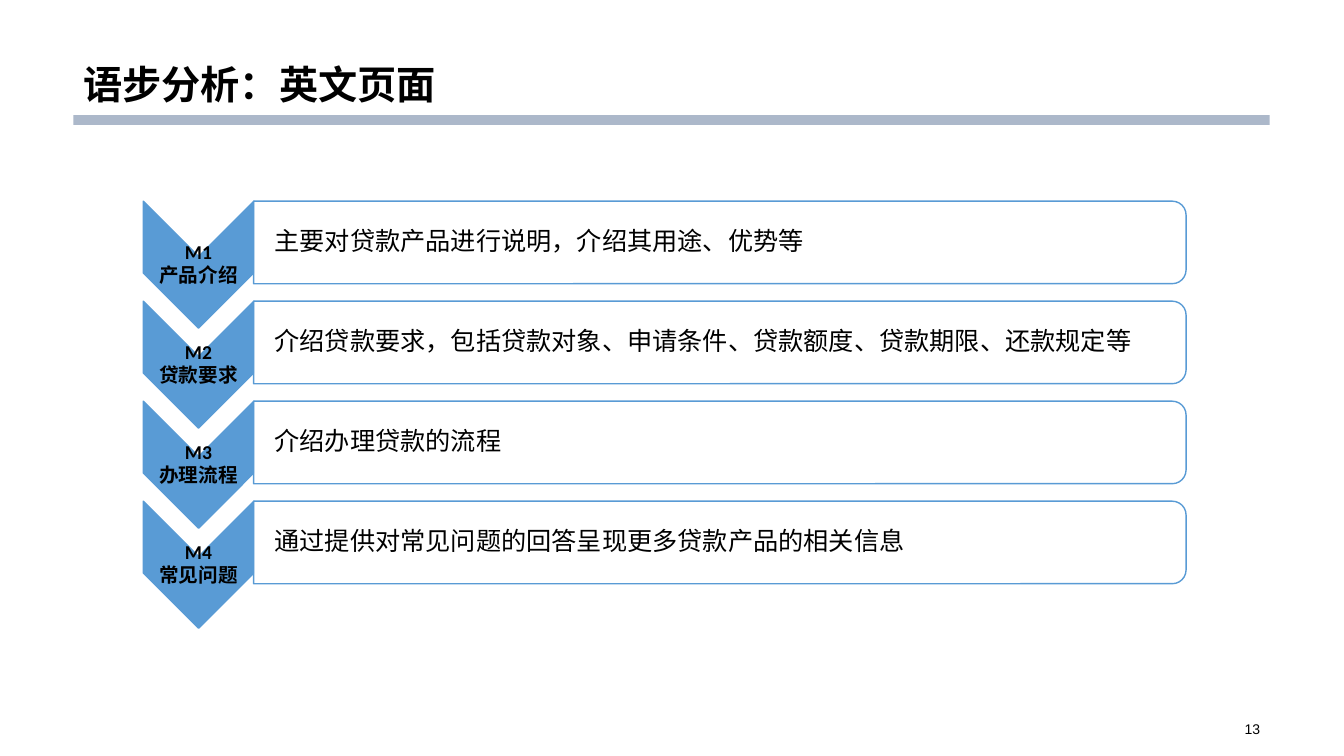
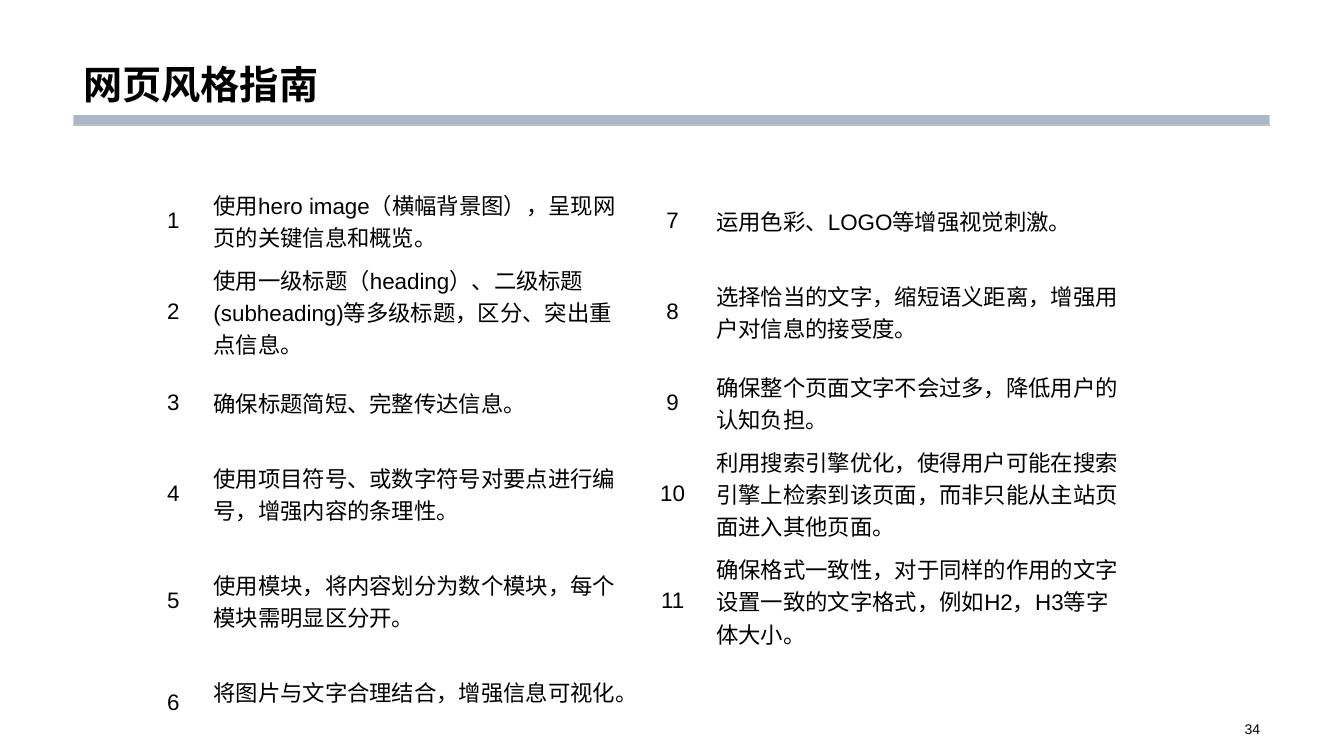
from typing import NamedTuple

from lxml import etree
from pptx import Presentation
from pptx.dml.color import RGBColor
from pptx.enum.lang import MSO_LANGUAGE_ID
from pptx.enum.shapes import MSO_CONNECTOR, MSO_SHAPE
from pptx.enum.text import MSO_ANCHOR, MSO_AUTO_SIZE, PP_ALIGN
from pptx.oxml.ns import qn
from pptx.util import Cm, Pt

RECTANGLE = MSO_SHAPE.RECTANGLE
CHEVRON = MSO_SHAPE.CHEVRON
ROUNDED_ENDS = MSO_SHAPE.ROUND_2_SAME_RECTANGLE
LEFT, CENTER, RIGHT = PP_ALIGN.LEFT, PP_ALIGN.CENTER, PP_ALIGN.RIGHT
MIDDLE, BOTTOM = MSO_ANCHOR.MIDDLE, MSO_ANCHOR.BOTTOM
CHINESE = MSO_LANGUAGE_ID.SIMPLIFIED_CHINESE
TITLE_ONLY = 5

COLORS = {
    "text": "000000",
    "band": "ACB8CA",
    "rule": "BFBFBF",
    "move": "599BD5",
    "panel": "FFFFFF",
}


class Box(NamedTuple):
    """Left, top, width and height in centimetres."""

    left: float
    top: float
    width: float
    height: float

    def lengths(self):
        return tuple(Cm(value) for value in self)


class Move(NamedTuple):
    code: str
    name: str
    description: str


TITLE_BOX = Box(1.85, 0, 30.15, 2.84)
BAND_BOX = Box(1.85, 2.9, 30.15, 0.25)
NUMBER_BOX = Box(23.93, 18.08, 8.08, 0.58)
DEFAULT_MARGINS = (0.25, 0.13, 0.25, 0.13)

MOVES = [
    Move("M1", "产品介绍", "主要对贷款产品进行说明，介绍其用途、优势等"),
    Move("M2", "贷款要求", "介绍贷款要求，包括贷款对象、申请条件、贷款额度、贷款期限、还款规定等"),
    Move("M3", "办理流程", "介绍办理贷款的流程"),
    Move("M4", "常见问题", "通过提供对常见问题的回答呈现更多贷款产品的相关信息"),
]
MOVE_TOP, MOVE_PITCH = 5.07, 2.52

GUIDELINES = [
    "使用hero image（横幅背景图），呈现网页的关键信息和概览。",
    "使用一级标题（heading）、二级标题(subheading)等多级标题，区分、突出重点信息。",
    "确保标题简短、完整传达信息。",
    "使用项目符号、或数字符号对要点进行编号，增强内容的条理性。",
    "使用模块，将内容划分为数个模块，每个模块需明显区分开。",
    "将图片与文字合理结合，增强信息可视化。",
    "运用色彩、LOGO等增强视觉刺激。",
    "选择恰当的文字，缩短语义距离，增强用户对信息的接受度。",
    "确保整个页面文字不会过多，降低用户的认知负担。",
    "利用搜索引擎优化，使得用户可能在搜索引擎上检索到该页面，而非只能从主站页面进入其他页面。",
    "确保格式一致性，对于同样的作用的文字设置一致的文字格式，例如H2，H3等字体大小。",
]
COLUMN_WIDTHS = [1.52, 10.97, 1.7, 10.8]
TWO_LINES, THREE_LINES, LAST_ROW = 1.88, 2.7, 2.45
ROW_HEIGHTS = [TWO_LINES, THREE_LINES, TWO_LINES, THREE_LINES, THREE_LINES, LAST_ROW]


def color(name: str) -> RGBColor:
    return RGBColor.from_string(COLORS[name])


def set_margins(target, margins) -> None:
    """Apply left, top, right and bottom margins to a text frame or cell."""
    for side, value in zip(("left", "top", "right", "bottom"), margins):
        setattr(target, f"margin_{side}", Cm(value))


def write(text_frame, text: str, *, size: float, font: str = "Arial",
          bold: bool = False, align=LEFT, line_spacing: float = 1.0,
          space_before: float = 0) -> None:
    """Write one paragraph per line; space_before applies after the first."""
    for index, line in enumerate(text.split("\n")):
        paragraph = text_frame.add_paragraph() if index else text_frame.paragraphs[0]
        paragraph.alignment = align
        paragraph.line_spacing = line_spacing
        paragraph.space_before = Pt(space_before if index else 0)
        run = paragraph.add_run()
        run.text = line
        run.font.name = font
        run.font.size = Pt(size)
        run.font.bold = bold
        run.font.color.rgb = color("text")
        run.font.language_id = CHINESE


def format_frame(text_frame, *, anchor=MIDDLE, margins=DEFAULT_MARGINS) -> None:
    text_frame.word_wrap = True
    text_frame.auto_size = MSO_AUTO_SIZE.NONE
    text_frame.vertical_anchor = anchor
    set_margins(text_frame, margins)


def add_text(slide, box: Box, text: str, *, margins=DEFAULT_MARGINS, **style) -> None:
    text_frame = slide.shapes.add_textbox(*box.lengths()).text_frame
    format_frame(text_frame, margins=margins)
    write(text_frame, text, **style)


def add_plain_shape(slide, kind, box: Box, fill: str, line: str | None = None):
    shape = slide.shapes.add_shape(kind, *box.lengths())
    shape.shadow.inherit = False
    shape.fill.solid()
    shape.fill.fore_color.rgb = color(fill)
    if line:
        shape.line.color.rgb = color(line)
        shape.line.width = Pt(1)
    else:
        shape.line.fill.background()
    return shape


def add_turned_shape(slide, kind, box: Box, fill: str, line: str, adjustments):
    """Draw a shape turned by 90 degrees so that it covers the given box."""
    unturned = Box(box.left + (box.width - box.height) / 2,
                   box.top + (box.height - box.width) / 2,
                   box.height, box.width)
    shape = add_plain_shape(slide, kind, unturned, fill, line)
    shape.rotation = 90
    for index, value in enumerate(adjustments):
        shape.adjustments[index] = value
    return shape


def set_opacity(shape, percent: int) -> None:
    fill_color = shape.fill._xPr.find(qn("a:solidFill"))[0]
    etree.SubElement(fill_color, qn("a:alpha"), val=str(percent * 1000))


def add_rule(slide) -> None:
    """Draw the thin line along the lower edge of the title band."""
    bottom = Cm(BAND_BOX.top + BAND_BOX.height)
    rule = slide.shapes.add_connector(
        MSO_CONNECTOR.STRAIGHT, Cm(BAND_BOX.left), bottom,
        Cm(BAND_BOX.left + BAND_BOX.width), bottom)
    rule.line.color.rgb = color("rule")
    rule.line.width = Pt(0.75)
    etree.SubElement(rule._element.spPr, qn("a:effectLst"))


def add_titled_slide(presentation, title: str, number: int):
    slide = presentation.slides.add_slide(presentation.slide_layouts[TITLE_ONLY])
    add_plain_shape(slide, RECTANGLE, BAND_BOX, "band")
    heading = slide.shapes.title
    heading.left, heading.top, heading.width, heading.height = TITLE_BOX.lengths()
    format_frame(heading.text_frame, anchor=BOTTOM)
    write(heading.text_frame, title, size=28, bold=True, line_spacing=0.9)
    add_text(slide, NUMBER_BOX, str(number), size=10, align=RIGHT)
    return slide


def add_move(slide, move: Move, top: float) -> None:
    arrow = Box(3.61, top, 2.79, 3.2)
    panel = Box(6.39, top, 23.5, 2.08)
    label = Box(arrow.left, top + 1.12, arrow.width, 0.96)
    add_turned_shape(slide, CHEVRON, arrow, "move", "move", [0.5])
    add_text(slide, label, f"{move.code}\n{move.name}", margins=(0, 0, 0, 0),
             size=14, font="Calibri", bold=True, align=CENTER,
             line_spacing=0.89, space_before=1.8)
    shape = add_turned_shape(slide, ROUNDED_ENDS, panel, "panel", "move", [0.167, 0])
    set_opacity(shape, 89)
    add_text(slide, panel, move.description, margins=(0.53, 0.03, 0.03, 0.03),
             size=18, font="Calibri", line_spacing=0.89)


def add_guideline_table(slide) -> None:
    row_count = len(ROW_HEIGHTS)
    box = Box(3.61, 4.62, sum(COLUMN_WIDTHS), sum(ROW_HEIGHTS))
    table = slide.shapes.add_table(row_count, len(COLUMN_WIDTHS), *box.lengths()).table
    table.first_row = table.horz_banding = False
    for column, width in zip(table.columns, COLUMN_WIDTHS):
        column.width = Cm(width)
    for row, height in zip(table.rows, ROW_HEIGHTS):
        row.height = Cm(height)
    for cell in table.iter_cells():
        cell.fill.background()
        cell.vertical_anchor = MIDDLE
        set_margins(cell, DEFAULT_MARGINS)
    for index, guideline in enumerate(GUIDELINES):
        half, row = divmod(index, row_count)
        write(table.cell(row, 2 * half).text_frame, str(index + 1), size=16, align=CENTER)
        write(table.cell(row, 2 * half + 1).text_frame, guideline, size=16)
    table.cell(row_count - 1, 1).margin_bottom = Cm(0.7)


def main() -> None:
    presentation = Presentation()
    presentation.slide_width, presentation.slide_height = Cm(33.87), Cm(19.05)

    moves_slide = add_titled_slide(presentation, "语步分析：英文页面", 13)
    for index, move in enumerate(MOVES):
        add_move(moves_slide, move, MOVE_TOP + index * MOVE_PITCH)

    guide_slide = add_titled_slide(presentation, "网页风格指南", 34)
    add_rule(guide_slide)
    add_guideline_table(guide_slide)

    presentation.save("out.pptx")


if __name__ == "__main__":
    main()
